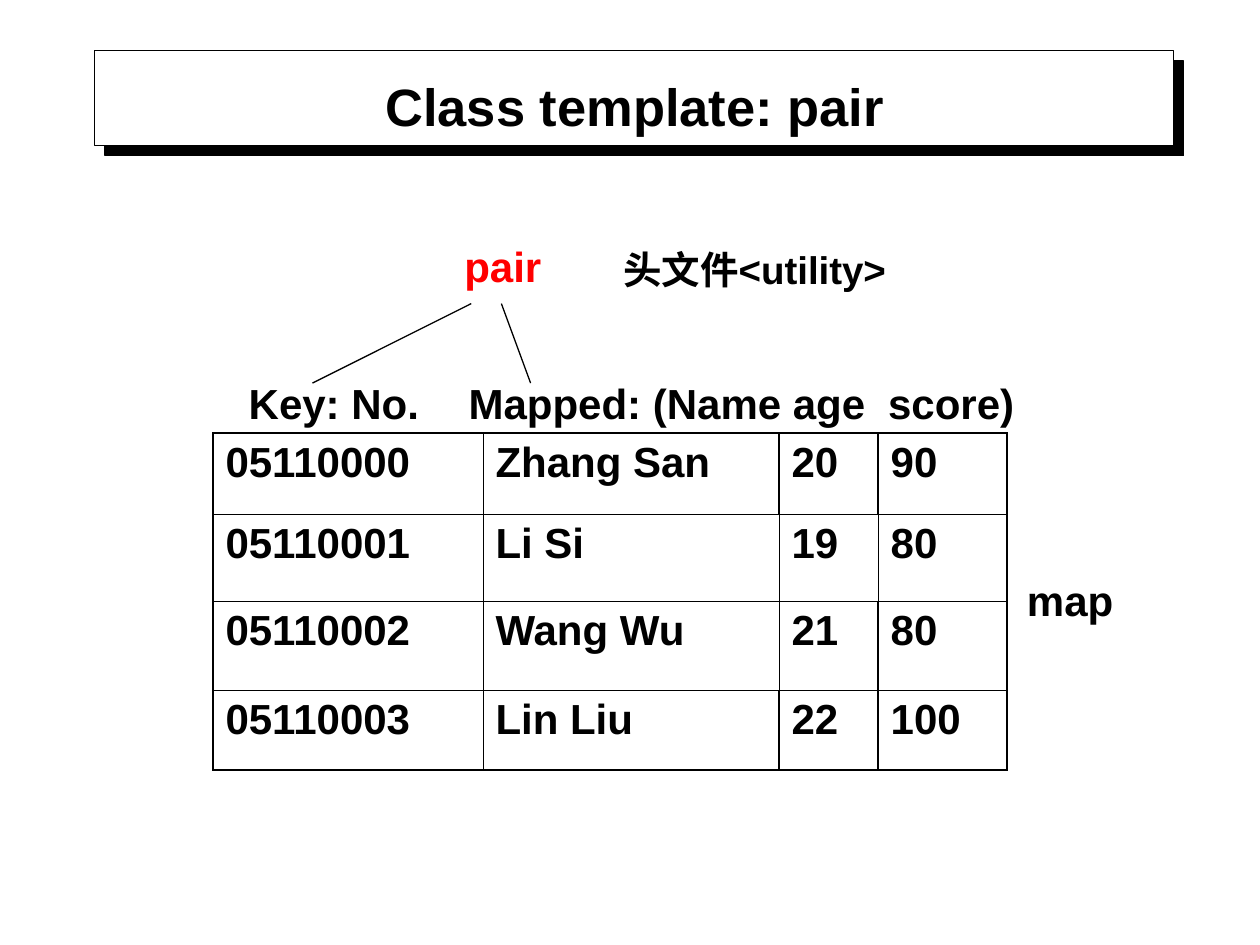
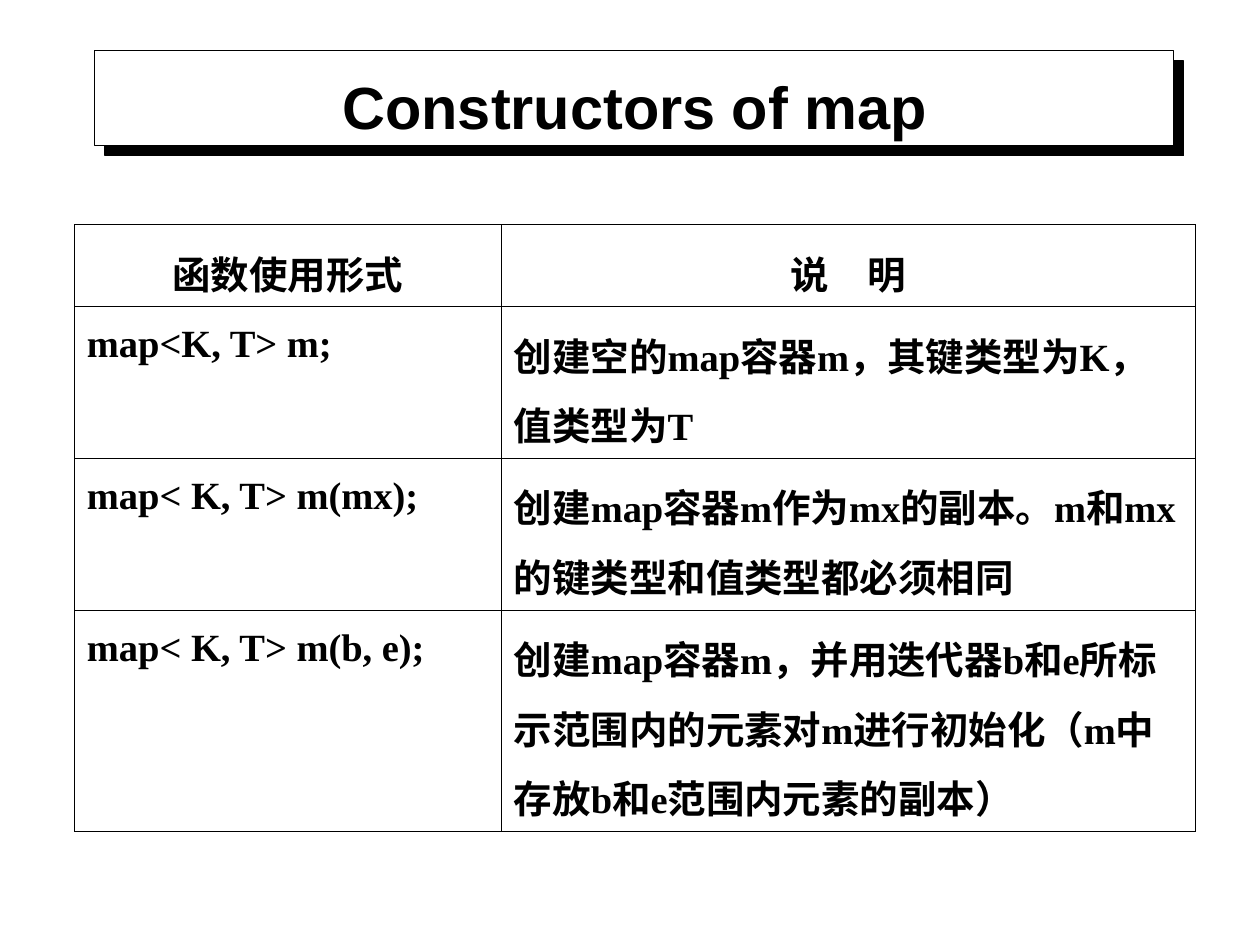
from lxml import etree
from pptx import Presentation
from pptx.dml.color import RGBColor
from pptx.enum.shapes import MSO_CONNECTOR, MSO_SHAPE
from pptx.enum.text import MSO_ANCHOR, PP_ALIGN
from pptx.oxml.ns import qn
from pptx.util import Pt

LEFT, CENTER = PP_ALIGN.LEFT, PP_ALIGN.CENTER
MIDDLE = MSO_ANCHOR.MIDDLE
RECT, LINE = MSO_SHAPE.RECTANGLE, MSO_CONNECTOR.STRAIGHT
BLACK, WHITE, RED = "000000", "FFFFFF", "FF0000"
SANS, SERIF = "Arial", "Times New Roman"
paint = RGBColor.from_string


def write(frame, text, size, font=SANS, color=BLACK, align=LEFT, space=1.0):
    """Put one bold run into the first paragraph of a text frame."""
    frame.word_wrap = True
    para = frame.paragraphs[0]
    para.alignment = align
    para.line_spacing = space
    run = para.add_run()
    run.text = text
    run.font.size = Pt(size)
    run.font.name = font
    run.font.bold = True
    run.font.color.rgb = paint(color)
    return para


def grid(slide, left, top, wide, high, across, down):
    """Add a bare table; across holds a width per row edge, down per row and column edge."""
    table = slide.shapes.add_table(len(high), len(wide), Pt(left), Pt(top),
                                   Pt(sum(wide)), Pt(sum(high))).table
    table.first_row = table.horz_banding = False
    for col, size in zip(table.columns, wide):
        col.width = Pt(size)
    for r, size in enumerate(high):
        table.rows[r].height = Pt(size)
        for c in range(len(wide)):
            cell = table.cell(r, c)
            props = cell._tc.get_or_add_tcPr()
            edges = {"a:lnL": down[r][c], "a:lnR": down[r][c + 1],
                     "a:lnT": across[r], "a:lnB": across[r + 1]}
            for tag, width in edges.items():
                edge = etree.SubElement(props, qn(tag), w=str(Pt(width)))
                fill = etree.SubElement(edge, qn("a:solidFill"))
                etree.SubElement(fill, qn("a:srgbClr"), val=BLACK)
            cell.fill.background()
    return table


deck = Presentation()
deck.slide_width, deck.slide_height = Pt(720), Pt(540)

# Title band with its hard shadow
slides = []
for title, size in [("Class template: pair", 30), ("Constructors of map", 34)]:
    slide = deck.slides.add_slide(deck.slide_layouts[6])
    slides.append(slide)
    band = slide.shapes.add_shape(RECT, Pt(54), Pt(28.8), Pt(616.5), Pt(54.2))
    band.fill.solid()
    band.fill.fore_color.rgb = paint(WHITE)
    band.line.color.rgb = paint(BLACK)
    band.line.width = Pt(0.75)
    band.shadow.inherit = False
    effect = band._element.spPr.find(qn("a:effectLst"))
    shade = etree.SubElement(effect, qn("a:outerShdw"), blurRad="0", dist=str(Pt(8.5)),
                             dir=str(45 * 60000), algn="ctr", rotWithShape="0")
    etree.SubElement(shade, qn("a:srgbClr"), val=BLACK)
    box = slide.shapes.add_textbox(Pt(54), Pt(37.5), Pt(617.5), Pt(45.5))
    box.text_frame.vertical_anchor = MIDDLE
    write(box.text_frame, title, size, align=CENTER)

# Slide 1: records of a map, each one a pair
slide = slides[0]
THICK, THIN = 1.08, 0.45
people = [("05110000", "Zhang San", "20", "90"),
          ("05110001", "Li Si", "19", "80"),
          ("05110002", "Wang Wu", "21", "80"),
          ("05110003", "Lin Liu", "22", "100")]
across = [THICK, THIN, THIN, THIN, THICK]
down = [[THICK, THIN, THICK, THICK, THICK],
        [THICK, THIN, THIN, THIN, THICK],
        [THICK, THIN, THIN, THICK, THICK],
        [THICK, THIN, THICK, THICK, THICK]]
table = grid(slide, 121.7, 247.5, [154.3, 169.2, 56.6, 73.7],
             [46.2, 50, 50.8, 45.4], across, down)
for r, person in enumerate(people):
    for c, text in enumerate(person):
        write(table.cell(r, c).text_frame, text, 24)

labels = [("Key: No.", 135, 212, 118, 24, BLACK),
          ("Mapped: (Name age\tscore)", 260.7, 212, 372, 24, BLACK),
          ("pair", 258.2, 134, 65, 24, RED),
          ("map", 579.8, 324.8, 72, 24, BLACK),
          ("头文件<utility>", 349.2, 135.8, 185, 22, BLACK)]
for text, left, top, wide, size, color in labels:
    box = slide.shapes.add_textbox(Pt(left), Pt(top), Pt(wide), Pt(36))
    box.text_frame.vertical_anchor = MIDDLE
    para = write(box.text_frame, text, size, color=color)
    if "\t" in text:
        stops = etree.SubElement(para._p.get_or_add_pPr(), qn("a:tabLst"))
        etree.SubElement(stops, qn("a:tab"), pos=str(Pt(239.7)), algn="l")

for foot, head in [(178.6, 269.3), (303.2, 286.5)]:
    link = slide.shapes.add_connector(LINE, Pt(foot), Pt(218.9), Pt(head), Pt(173.5))
    link.line.color.rgb = paint(BLACK)
    link.line.width = Pt(0.75)
    etree.SubElement(link._element.spPr, qn("a:effectLst"))

# Slide 2: constructor forms and what they do
forms = [("函数使用形式", "说　明"),
         ("map<K, T> m;", "创建空的map容器m，其键类型为K，值类型为T"),
         ("map< K, T> m(mx);", "创建map容器m作为mx的副本。m和mx的键类型和值类型都必须相同"),
         ("map< K, T> m(b, e);",
          "创建map容器m，并用迭代器b和e所标示范围内的元素对m进行初始化"
          "（m中存放b和e范围内元素的副本）")]
FINE = 0.34
table = grid(slides[1], 42.5, 128.2, [244, 396.7], [46.9, 86.8, 86.8, 126.3],
             [THIN, THIN, FINE, FINE, THIN], [[FINE] * 3] * len(forms))
for r, form in enumerate(forms):
    for c, text in enumerate(form):
        write(table.cell(r, c).text_frame, text, 22, SERIF,
              align=LEFT if r else CENTER, space=1.25)

deck.save("out.pptx")
